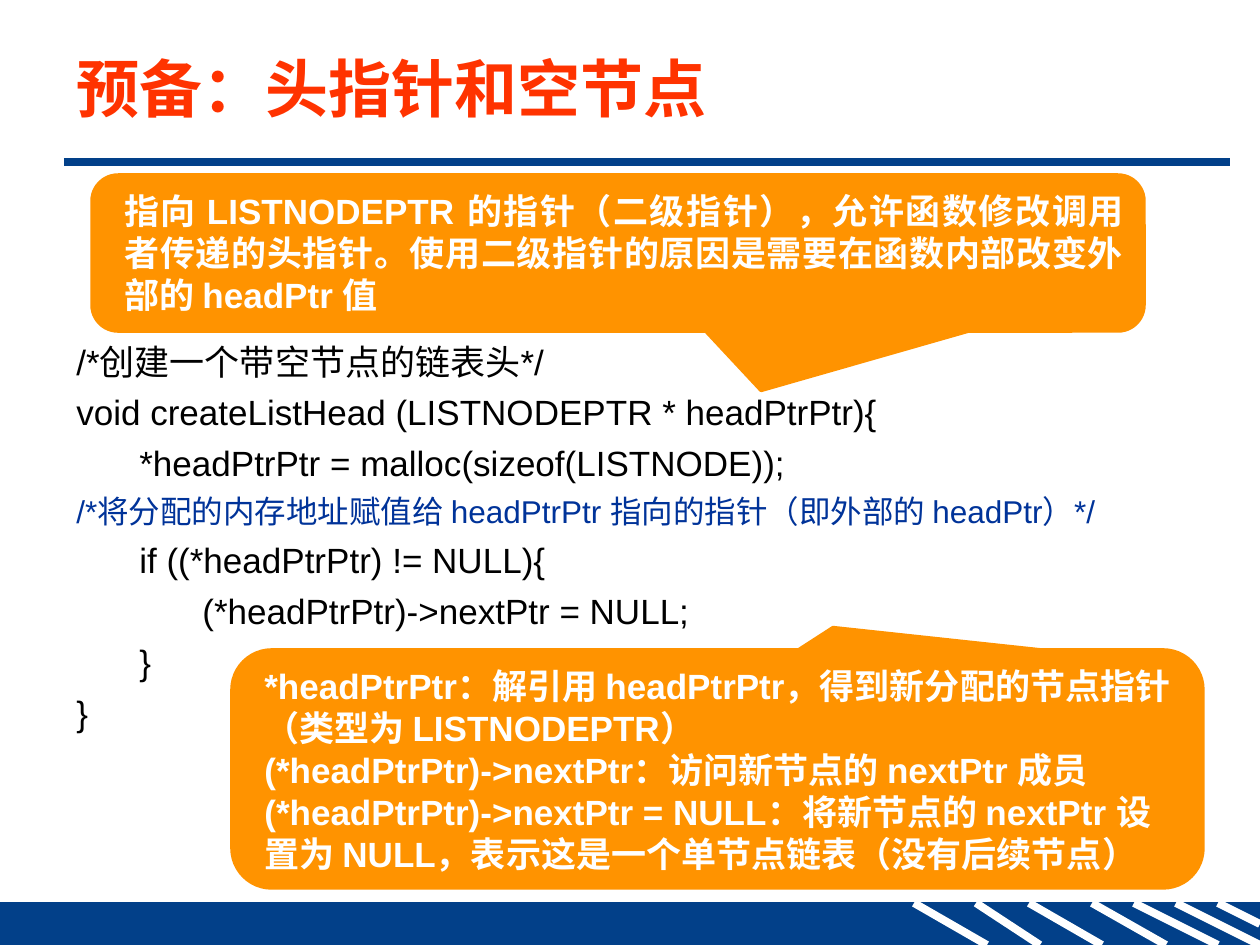
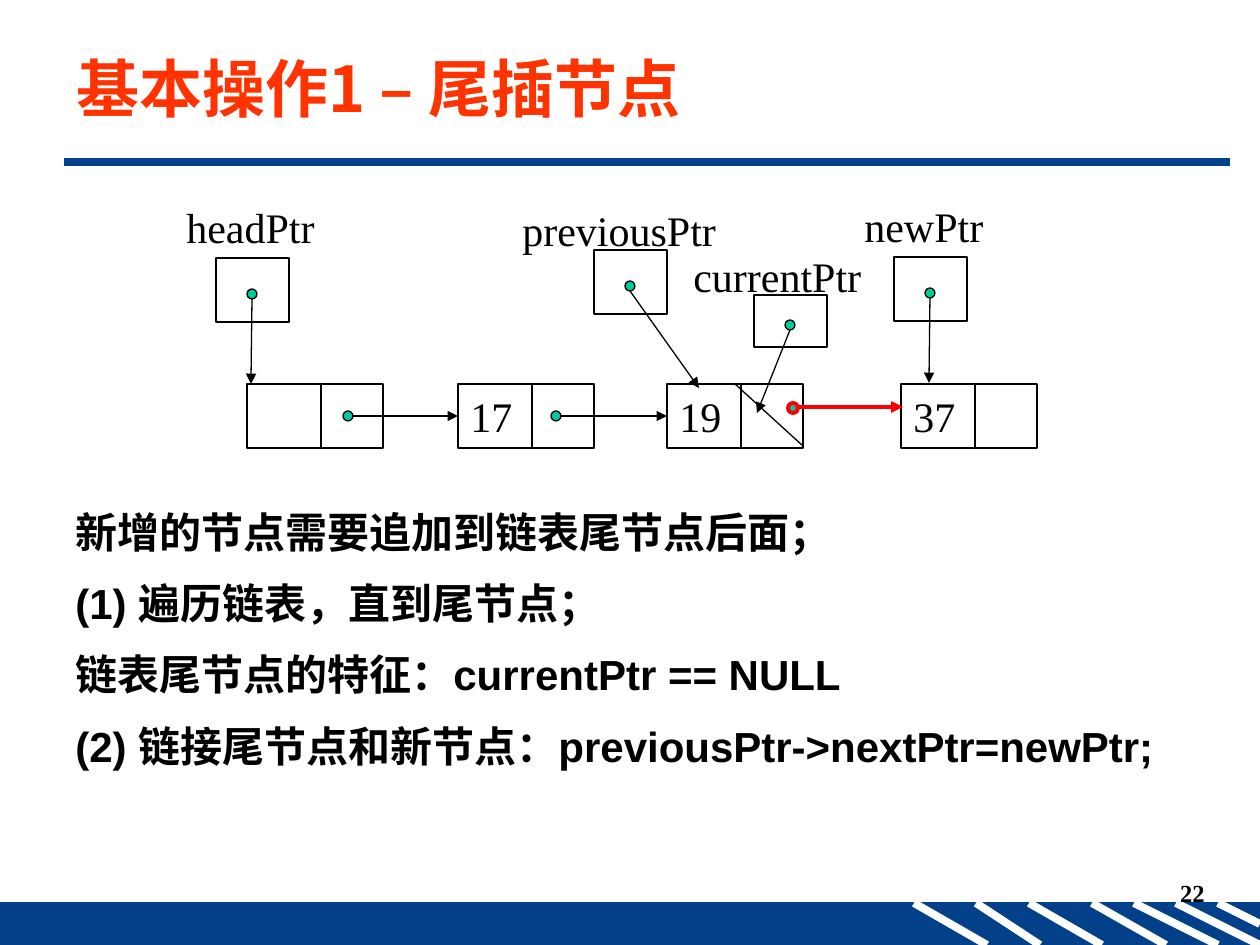
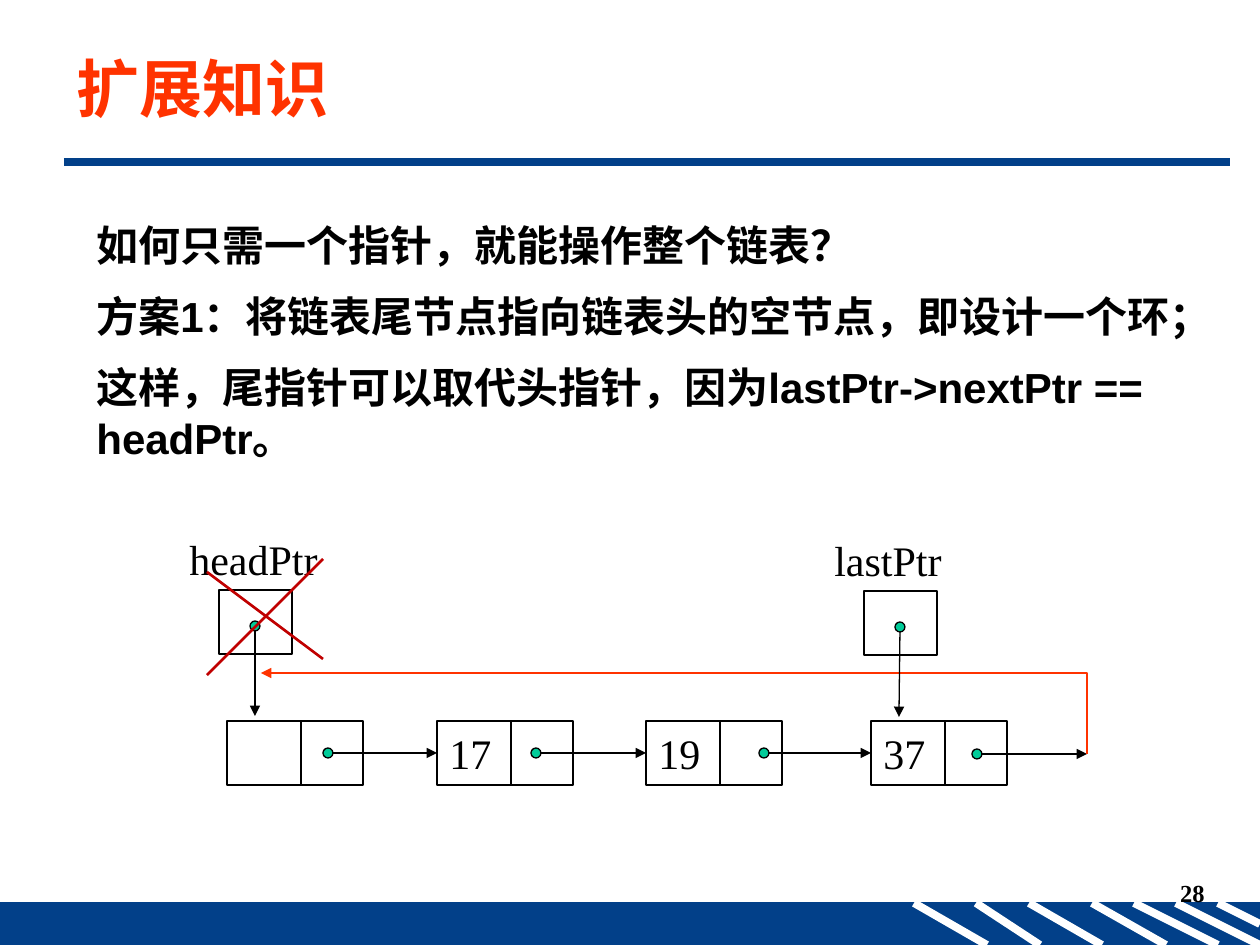
from lxml import etree
from pptx import Presentation
from pptx import util as u
from pptx.dml.color import RGBColor
from pptx.enum import shapes, text
from pptx.oxml.ns import qn

PX = 914400 / 126
NAVY, RED, ORANGE, BLUE = "024089", "FF3300", "FF9300", "003399"
BLACK, WHITE, TEAL, BRIGHT, CROSS = "000000", "FFFFFF", "00CC99", "FF0000", "C00000"
ARIAL, CJK, TIMES = "Arial", "Noto Sans CJK SC", "Times New Roman"
NODE_W, NODE_H, DIVIDER = 136, 64, 74
POINTER_W, DOT = 73, 10


def px(*values):
    return [u.Emu(round(v * PX)) for v in values]


def rgb(color):
    return RGBColor.from_string(color)


def write(tf, lines, size=24, color=BLACK, bold=False, font=ARIAL, before=0,
          align=text.PP_ALIGN.LEFT, anchor=text.MSO_ANCHOR.TOP):
    """Fill a text frame; a line is a string or (string, size, color)."""
    tf.word_wrap = True
    tf.vertical_anchor = anchor
    for i, line in enumerate(lines):
        words, pt, ink = (line, size, color) if isinstance(line, str) else line
        p = tf.paragraphs[0] if i == 0 else tf.add_paragraph()
        p.alignment = align
        if i:
            p.space_before = u.Pt(before)
        r = p.add_run()
        r.text = words
        r.font.size, r.font.bold, r.font.name = u.Pt(pt), bold, font
        r.font.color.rgb = rgb(ink)
        etree.SubElement(r.font._element, qn("a:ea")).set("typeface", CJK)


def text_box(s, box, lines, **fmt):
    write(s.shapes.add_textbox(*px(*box)).text_frame, lines, **fmt)


def shape(s, kind, box, fill=None, line=BLACK, width=0.75):
    sp = s.shapes.add_shape(kind, *px(*box))
    sp.shadow.inherit = False
    if fill:
        sp.fill.solid()
        sp.fill.fore_color.rgb = rgb(fill)
    else:
        sp.fill.background()
    sp.line.color.rgb = rgb(line)
    sp.line.width = u.Pt(width)
    return sp


def connector(s, start, end, color=BLACK, width=0.75, head=False, tail=False,
              bent=False):
    kind = shapes.MSO_CONNECTOR.ELBOW if bent else shapes.MSO_CONNECTOR.STRAIGHT
    c = s.shapes.add_connector(kind, *px(*start, *end))
    c.line.color.rgb = rgb(color)
    c.line.width = u.Pt(width)
    spPr = c._element.spPr
    if bent:
        spPr.find(qn("a:prstGeom")).set("prst", "bentConnector2")
    for tag, wanted in (("a:headEnd", head), ("a:tailEnd", tail)):
        if wanted:
            etree.SubElement(spPr.find(qn("a:ln")), qn(tag)).set("type", "triangle")
    etree.SubElement(spPr, qn("a:effectLst"))
    return c


def footer(s, x, y, w, h):
    shape(s, shapes.MSO_SHAPE.RECTANGLE, (x, y, w, h), NAVY, NAVY)
    stripes = [(914, 73, h), (976, 64, h), (1029, 73, h), (1092, 74, h),
               (1134, 84, h), (1176, 84, h), (1218, 42, h // 2)]
    for left, run, drop in stripes:
        connector(s, (x + left, y), (x + left + run, y + drop), WHITE, 4.5)


def new_slide(prs, title, number=None):
    s = prs.slides.add_slide(prs.slide_layouts[6])
    footer(s, 0, 903, 1260, 42)
    connector(s, (64, 162), (1230, 162), NAVY, 4.5)
    text_box(s, (64, 37, 1171, 100), [title], size=36, color=RED, bold=True,
             font=CJK, anchor=text.MSO_ANCHOR.MIDDLE)
    if number:
        text_box(s, (955, 872, 262, 63), [number], size=14, bold=True,
                 font=TIMES, align=text.PP_ALIGN.RIGHT)
    return s


def callout(s, box, tip, lines, pad, align=text.PP_ALIGN.LEFT):
    """Orange bubble; tip is its point as shares of the box from the centre."""
    x, y, w, h = box
    sp = shape(s, shapes.MSO_SHAPE.ROUNDED_RECTANGULAR_CALLOUT, box, ORANGE, ORANGE, 2)
    for i, value in enumerate((*tip, 0.167)):
        sp.adjustments[i] = value
    text_box(s, (x + 20, y + pad, w - 20 - pad, h - 2 * pad), lines, size=20,
             color=WHITE, bold=True, align=align)


def node(s, x, y, value=None):
    sp = shape(s, shapes.MSO_SHAPE.RECTANGLE, (x, y, NODE_W, NODE_H))
    if value:
        write(sp.text_frame, [value], font=TIMES)
    connector(s, (x + DIVIDER, y), (x + DIVIDER, y + NODE_H - 1))
    return sp


def dot(s, x, y, line=BLACK, width=0.75):
    shape(s, shapes.MSO_SHAPE.OVAL, (x, y, DOT, DOT), TEAL, line, width)


def link(s, x, y, end, target=None):
    """Dot at x, y and an arrow from it, joined to the target node if given."""
    middle = y + DOT // 2
    c = connector(s, (x + DOT, middle), (end, middle), tail=True)
    if target:
        c.end_connect(target, 1)
    dot(s, x, y)


def pointer(s, x, y, name, tip, label=(-42, -63), h=64):
    """Named pointer box whose arrow ends at tip; label is the name's offset."""
    shape(s, shapes.MSO_SHAPE.RECTANGLE, (x, y, POINTER_W, h))
    text_box(s, (x + label[0], y + label[1], 225, 63), [name], font=TIMES)
    top = y + h // 2 - 1
    dot(s, x + 31, top)
    connector(s, (x + 36, top + DOT), tip, tail=True)


def node_row(s, y, lefts):
    return [node(s, x, y, value) for x, value in zip(lefts, (None, "17", "19", "37"))]


def tail_insert_diagram(s, x, y):
    lefts = [x + dx for dx in (0, 211, 420, 654)]
    nodes = node_row(s, y, lefts)
    link(s, x + 96, y + 27, lefts[1], nodes[1])
    link(s, x + 304, y + 27, lefts[2], nodes[2])
    connector(s, (x + 488, y), (x + 556, y + 62))
    connector(s, (x + 552, y + 23), (x + 656, y + 23), BRIGHT, 2.25, tail=True)
    dot(s, x + 541, y + 19, BRIGHT, 2.25)
    pointer(s, x - 31, y - 126, "headPtr", (x + 4, y))
    pointer(s, x + 647, y - 127, "newPtr", (x + 682, y - 1))
    pointer(s, x + 347, y - 134, "previousPtr", (x + 452, y + 4), (-84, -52))
    pointer(s, x + 507, y - 89, "currentPtr", (x + 510, y + 29), (-73, -51), 52)


def ring_diagram(s, x, y):
    lefts = [x + dx for dx in (0, 210, 419, 644)]
    nodes = node_row(s, y, lefts)
    for i, dx in enumerate((96, 304, 532)):
        link(s, x + dx, y + 27, lefts[i + 1], nodes[i + 1])
    link(s, x + 745, y + 28, x + 860)
    connector(s, (x + 34, y - 48), (x + 860, y + 33), RED, 1.5, head=True, bent=True)
    pointer(s, x - 8, y - 131, "headPtr", (x + 28, y - 5))
    pointer(s, x + 637, y - 130, "lastPtr", (x + 672, y - 4))
    connector(s, (x + 96, y - 162), (x - 20, y - 46), CROSS, 1.5)
    connector(s, (x + 96, y - 62), (x - 20, y - 149), CROSS, 1.5)


def list_head_slide(prs):
    s = new_slide(prs, "预备：头指针和空节点")
    text_box(s, (64, 334, 1120, 397), [
        "/*创建一个带空节点的链表头*/",
        "void createListHead (LISTNODEPTR * headPtrPtr){",
        "\t*headPtrPtr = malloc(sizeof(LISTNODE));",
        ("/*将分配的内存地址赋值给 headPtrPtr 指向的指针（即外部的 headPtr）*/", 18, BLUE),
        "\tif ((*headPtrPtr) != NULL){",
        "\t\t(*headPtrPtr)->nextPtr = NULL;",
        "\t}",
        "}"], size=20, before=5)
    callout(s, (92, 175, 1052, 156), (0.136, 0.881), [
        "指向 LISTNODEPTR 的指针（二级指针），允许函数修改调用者传递的头指针。"
        "使用二级指针的原因是需要在函数内部改变外部的 headPtr 值"],
        10 - 2, text.PP_ALIGN.JUSTIFY)
    callout(s, (232, 650, 971, 238), (0.119, -0.594), [
        "*headPtrPtr：解引用 headPtrPtr，得到新分配的节点指针（类型为 LISTNODEPTR）",
        "(*headPtrPtr)->nextPtr：访问新节点的 nextPtr 成员",
        "(*headPtrPtr)->nextPtr = NULL：将新节点的 nextPtr 设置为 NULL，"
        "表示这是一个单节点链表（没有后续节点）"], 8)


def tail_insert_slide(prs):
    s = new_slide(prs, "基本操作1 – 尾插节点", "22")
    tail_insert_diagram(s, 247, 384)
    text_box(s, (63, 500, 1150, 292), [
        "新增的节点需要追加到链表尾节点后面；",
        "(1) 遍历链表，直到尾节点；",
        "链表尾节点的特征：currentPtr == NULL",
        "(2) 链接尾节点和新节点：previousPtr->nextPtr=newPtr;"], bold=True, before=12)


def ring_slide(prs):
    s = new_slide(prs, "扩展知识", "28")
    text_box(s, (84, 213, 1150, 267), [
        "如何只需一个指针，就能操作整个链表？",
        "方案1：将链表尾节点指向链表头的空节点，即设计一个环；",
        "这样，尾指针可以取代头指针，因为lastPtr->nextPtr == headPtr。"],
        bold=True, before=12)
    ring_diagram(s, 227, 721)


def main():
    prs = Presentation()
    prs.slide_width, prs.slide_height = px(1260, 945)
    list_head_slide(prs)
    tail_insert_slide(prs)
    ring_slide(prs)
    prs.save("out.pptx")


if __name__ == "__main__":
    main()
